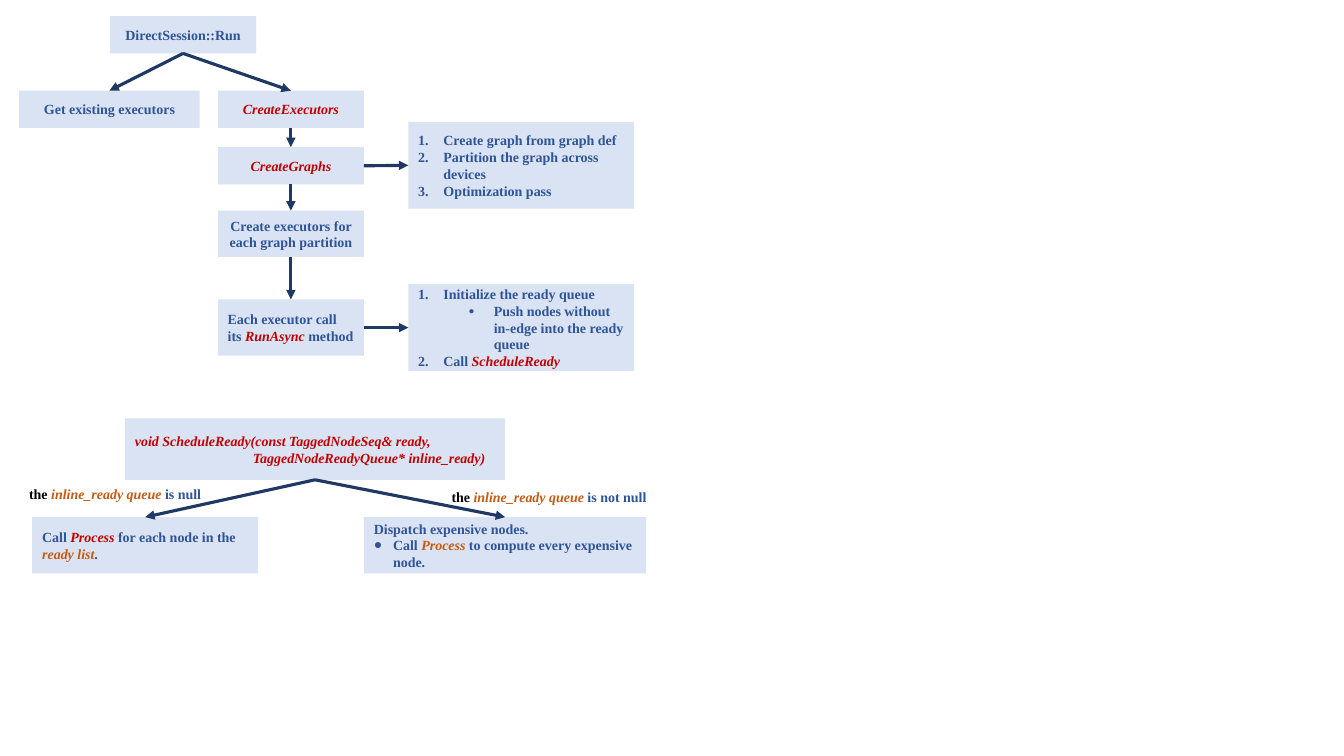
from lxml import etree
from pptx import Presentation
from pptx.dml.color import RGBColor
from pptx.enum.shapes import MSO_CONNECTOR, MSO_SHAPE
from pptx.enum.text import MSO_ANCHOR, PP_ALIGN
from pptx.oxml.ns import qn
from pptx.util import Inches, Pt

COLORS = {"box": "DAE3F3", "arrow": "203864", "blue": "2F5597",
          "red": "C00000", "orange": "C55A11", "black": "000000"}
FONT = "Times New Roman"
TOP, LEFT, BOTTOM, RIGHT = range(4)


def rgb(name):
    return RGBColor.from_string(COLORS[name])


def add_run(p, text, color="blue", italic=None):
    r = p.add_run()
    r.text = text
    r.font.name = FONT
    r.font.size = Pt(10)
    r.font.bold = True
    r.font.italic = color in ("red", "orange") if italic is None else italic
    r.font.color.rgb = rgb(color)


def set_indent(p, left, first):
    pPr = p._p.get_or_add_pPr()
    pPr.set("marL", str(Inches(left)))
    pPr.set("indent", str(Inches(first)))
    return pPr


def set_list(p, bullet, left, size=None):
    pPr = set_indent(p, left, -min(left, 0.25))
    if size:
        etree.SubElement(pPr, qn("a:buSzPct"), val=str(size * 1000))
    if bullet == "1.":
        etree.SubElement(pPr, qn("a:buFont"), typeface="+mj-lt")
        etree.SubElement(pPr, qn("a:buAutoNum"), type="arabicPeriod")
    else:
        etree.SubElement(pPr, qn("a:buFont"), typeface=FONT)
        etree.SubElement(pPr, qn("a:buChar"), char=bullet)


def add_paragraph(tf, runs, first=False, align=PP_ALIGN.LEFT, bullet=None,
                  left=0, level=0, size=None):
    p = tf.paragraphs[0] if first else tf.add_paragraph()
    p.alignment = align
    p.level = level
    if bullet:
        set_list(p, bullet, left, size)
    elif left:
        set_indent(p, left, 0)
    for run in runs:
        add_run(p, *run)


def fill_text(sp, paragraphs, align=PP_ALIGN.LEFT):
    tf = sp.text_frame
    tf.word_wrap = True
    tf.vertical_anchor = MSO_ANCHOR.MIDDLE
    for i, (runs, fmt) in enumerate(paragraphs):
        add_paragraph(tf, runs, first=i == 0, align=align, **fmt)


def add_box(s, x, y, w, h, paragraphs, align=PP_ALIGN.LEFT):
    sp = s.shapes.add_shape(MSO_SHAPE.RECTANGLE, Inches(x), Inches(y), Inches(w), Inches(h))
    sp.shadow.inherit = False
    sp.fill.solid()
    sp.fill.fore_color.rgb = rgb("box")
    sp.line.fill.background()
    fill_text(sp, paragraphs, align)
    return sp


def add_step(s, x, y, w, h, text, color="blue"):
    return add_box(s, x, y, w, h, [([(text, color)], {})], PP_ALIGN.CENTER)


def add_label(s, x, y, w, h, ending):
    sp = s.shapes.add_textbox(Inches(x), Inches(y), Inches(w), Inches(h))
    fill_text(sp, [([("the ", "black"), ("inline_ready queue ", "orange"), (ending,)], {})])


def add_arrow(s, start, end, start_site=BOTTOM, end_site=TOP):
    cx = s.shapes.add_connector(MSO_CONNECTOR.STRAIGHT, 0, 0, 0, 0)
    cx.begin_connect(start, start_site)
    cx.end_connect(end, end_site)
    cx.line.color.rgb = rgb("arrow")
    cx.line.width = Pt(2.25)
    etree.SubElement(cx.line._get_or_add_ln(), qn("a:tailEnd"), type="triangle")
    etree.SubElement(cx._element.spPr, qn("a:effectLst"))


def add_run_flow(s, x, y):
    w, h = 1.45, 0.37
    col, notes = x + 1.97, x + 3.86
    numbered = {"bullet": "1.", "left": 0.25}
    run = add_step(s, x + 0.9, y, w, h, "DirectSession::Run")
    existing = add_step(s, x, y + 0.74, 1.79, h, "Get existing executors")
    executors = add_step(s, col, y + 0.74, w, h, "CreateExecutors", "red")
    graphs = add_step(s, col, y + 1.3, w, h, "CreateGraphs", "red")
    partition = add_step(s, col, y + 1.93, w, 0.46, "Create executors for each graph partition")
    call = add_box(s, col, y + 2.81, w, 0.56, [
        ([("Each executor call its ",), ("RunAsync", "red"), (" method",)], {})])
    graph_notes = add_box(s, notes, y + 1.05, 2.24, 0.86, [
        ([(text,)], numbered) for text in (
            "Create graph from graph def",
            "Partition the graph across devices",
            "Optimization pass")])
    call_notes = add_box(s, notes, y + 2.66, 2.24, 0.86, [
        ([("Initialize the ready queue",)], numbered),
        ([("Push nodes without in-edge into the ready queue",)],
         {"bullet": "●", "left": 0.75, "level": 1, "size": 70}),
        ([("Call ",), ("ScheduleReady", "red")], numbered)])
    add_arrow(s, run, existing)
    chain = [run, executors, graphs, partition, call]
    for start, end in zip(chain, chain[1:]):
        add_arrow(s, start, end)
    for start, end in ((graphs, graph_notes), (call, call_notes)):
        add_arrow(s, start, end, RIGHT, LEFT)


def add_schedule_flow(s, x, y):
    schedule = add_box(s, x + 1.05, y, 3.77, 0.61, [
        ([("void ScheduleReady(const TaggedNodeSeq& ready,", "red")], {}),
        ([("TaggedNodeReadyQueue* inline_ready)", "red")], {"left": 1.17})])
    process = add_box(s, x + 0.13, y + 0.98, 2.24, 0.56, [
        ([("Call ",), ("Process", "red"), (" for each node in the ",),
          ("ready list", "orange"), (".",)], {})])
    dispatch = add_box(s, x + 3.42, y + 0.98, 2.8, 0.56, [
        ([("Dispatch expensive nodes.",)], {}),
        ([("Call ",), ("Process", "orange"), (" to compute every expensive node.",)],
         {"bullet": "●", "left": 0.19})])
    for end in (process, dispatch):
        add_arrow(s, schedule, end)
    add_label(s, x, y + 0.61, 2.08, 0.28, "is null")
    add_label(s, x + 4.19, y + 0.64, 2.15, 0.28, "is not null")


prs = Presentation()
prs.slide_width = Inches(13.33)
prs.slide_height = Inches(7.5)
s = prs.slides.add_slide(prs.slide_layouts[6])
add_run_flow(s, 0.19, 0.16)
add_schedule_flow(s, 0.19, 4.15)
prs.save("out.pptx")
